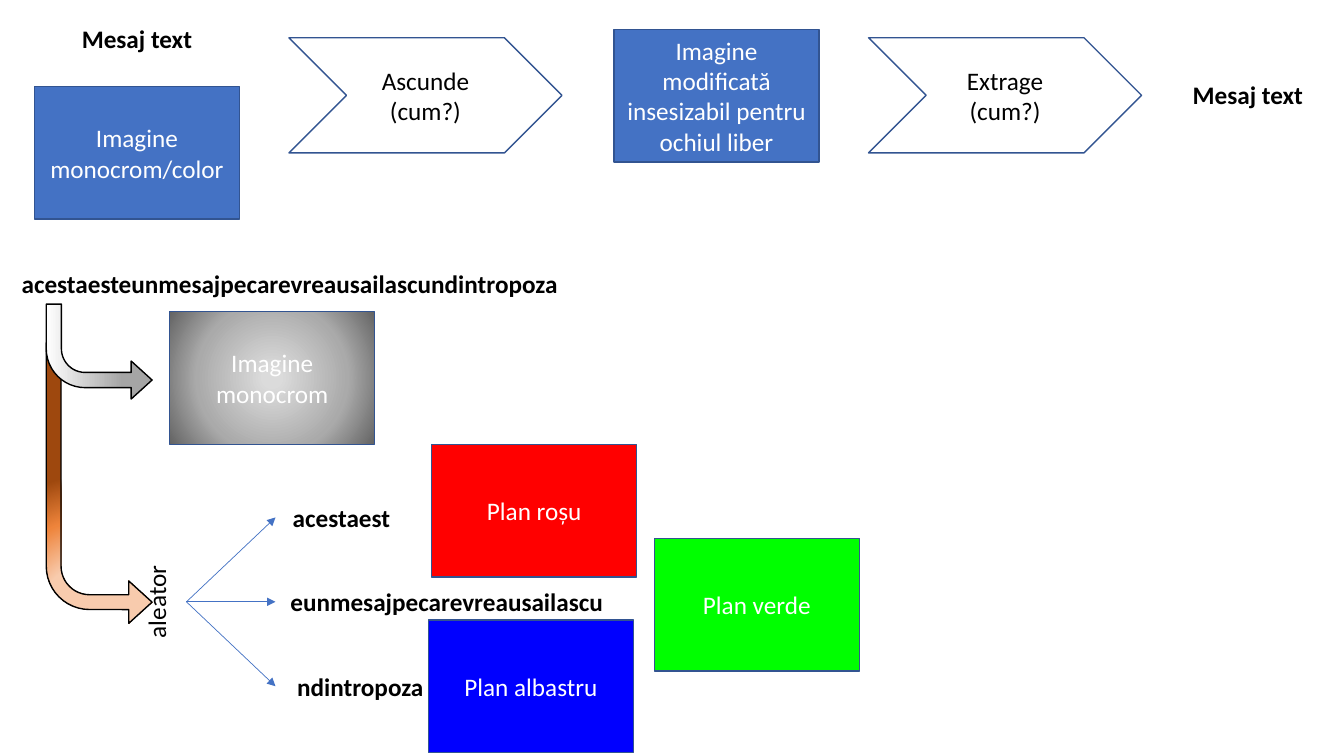
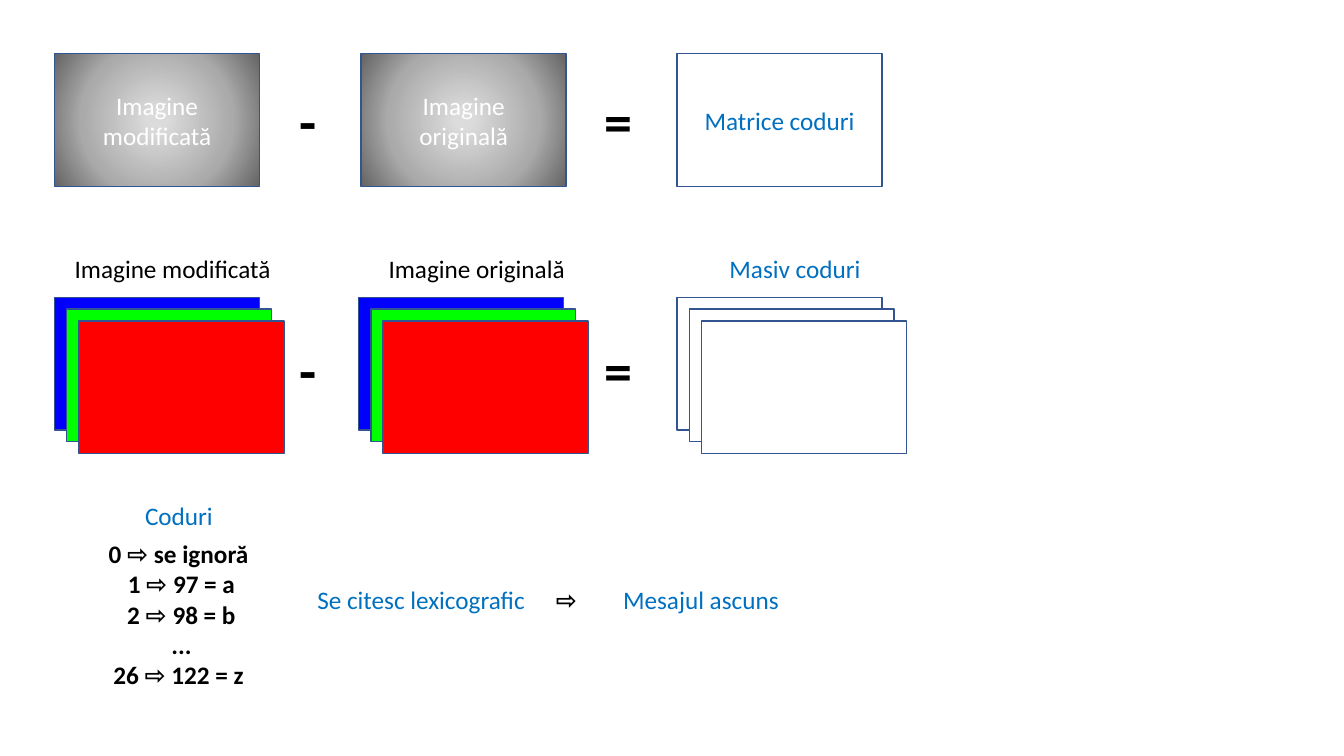
from lxml import etree
from pptx import Presentation, util as u
from pptx.dml.color import RGBColor
from pptx.enum import shapes, text
from pptx.oxml import ns

FONT = "Calibri"
WHITE = RGBColor(0xFF, 0xFF, 0xFF)
BLACK = RGBColor(0x00, 0x00, 0x00)
RED = RGBColor(0xFF, 0x00, 0x00)
GREEN = RGBColor(0x00, 0xFF, 0x00)
BLUE = RGBColor(0x00, 0x00, 0xFF)
STEEL = RGBColor(0x44, 0x72, 0xC4)
EDGE = RGBColor(0x32, 0x54, 0x91)
SKY = RGBColor(0x00, 0x70, 0xC0)
SILVER = RGBColor(0xDB, 0xDB, 0xDB)
ASH = RGBColor(0xAA, 0xAA, 0xAA)
SMOKE = RGBColor(0x63, 0x63, 0x63)
GREY = RGBColor(0xA5, 0xA5, 0xA5)
PEACH = RGBColor(0xF8, 0xCB, 0xAD)
AMBER = RGBColor(0xEE, 0x84, 0x3B)
BROWN = RGBColor(0x9E, 0x48, 0x0E)

PHOTO = ([(7, SILVER), (62, ASH), (100, SMOKE)], (50, 50, 50, 50))
RUST = ([(42, PEACH), (71, AMBER), (100, BROWN)], (50, 130, 50, -30))
FADE = ([(0, WHITE), (72, GREY)], None)

COLS, ROWS = 160, 90
WIDE, HIGH = 24.4, 15.8
LINE = 4.8
KIND = shapes.MSO_SHAPE
LEFT, MID = text.PP_ALIGN.LEFT, text.PP_ALIGN.CENTER


class Deck:
    """Draws styled elements on the current slide, on a grid of columns and rows."""

    def __init__(self):
        self.prs = Presentation()
        self.prs.slide_width = u.Inches(13.333)
        self.prs.slide_height = u.Inches(7.5)
        self.slide = None

    def page(self):
        """Start a blank slide."""
        self.slide = self.prs.slides.add_slide(self.prs.slide_layouts[6])

    def grid(self, x, y, w, h):
        """Turn columns and rows into lengths."""
        col, row = self.prs.slide_width / COLS, self.prs.slide_height / ROWS
        return round(x * col), round(y * row), round(w * col), round(h * row)

    def put(self, frame, words, color, size=18, bold=False, align=MID):
        """Fill a frame with one paragraph a line."""
        frame.word_wrap = True
        frame.text = words
        for para in frame.paragraphs:
            para.alignment = align
            font = para.font
            font.name, font.size, font.bold = FONT, u.Pt(size), bold
            font.color.rgb = color

    def blend(self, shape, stops, focus):
        """Give a shape a gradient, round a focus or from left to right."""
        shape.fill.background()
        props = shape._element.spPr
        fill = etree.Element(ns.qn("a:gradFill"), rotWithShape="1")
        stock = etree.SubElement(fill, ns.qn("a:gsLst"))
        for pos, color in stops:
            stop = etree.SubElement(stock, ns.qn("a:gs"), pos=str(pos * 1000))
            etree.SubElement(stop, ns.qn("a:srgbClr"), val=str(color))
        if focus:
            way = etree.SubElement(fill, ns.qn("a:path"), {"path": "circle"})
            sides = {k: str(v * 1000) for k, v in zip("ltrb", focus)}
            etree.SubElement(way, ns.qn("a:fillToRect"), sides)
        else:
            etree.SubElement(fill, ns.qn("a:lin"), ang="0", scaled="0")
        props.replace(props.find(ns.qn("a:noFill")), fill)

    def shape(self, kind, area, fill=None, edge=EDGE):
        """Add a preset shape with a thin edge."""
        shape = self.slide.shapes.add_shape(kind, *self.grid(*area))
        shape.shadow.inherit = False
        shape.line.color.rgb = edge
        shape.line.width = u.Pt(1)
        if fill is None:
            shape.fill.background()
        elif isinstance(fill, RGBColor):
            shape.fill.solid()
            shape.fill.fore_color.rgb = fill
        else:
            self.blend(shape, *fill)
        return shape

    def box(self, x, y, fill, words="", color=WHITE):
        """Add a picture-sized rectangle."""
        box = self.shape(KIND.RECTANGLE, (x, y, WIDE, HIGH), fill)
        if words:
            self.put(box.text_frame, words, color)

    def step(self, x, y, words):
        """Add a chevron for one step."""
        step = self.shape(KIND.CHEVRON, (x, y, 32.5, 13.7))
        self.put(step.text_frame, words, BLACK)

    def bend(self, y, h, fill, width):
        """Add an arrow that goes down and turns right."""
        bend = self.shape(KIND.BENT_ARROW, (5.5, y, 12.6, h), fill, BLACK)
        for i, part in enumerate((width, 0.2, 0.22, 0.41)):
            bend.adjustments[i] = part
        bend.rotation = 180
        bend._element.spPr.find(ns.qn("a:xfrm")).set("flipH", "1")

    def label(self, x, y, w, words, color=BLACK, h=LINE, **style):
        """Add a text box."""
        label = self.slide.shapes.add_textbox(*self.grid(x, y, w, h))
        self.put(label.text_frame, words, color, **style)
        return label

    def link(self, start, end):
        """Draw an arrow from the right of one label to the left of another."""
        link = self.slide.shapes.add_connector(shapes.MSO_CONNECTOR.STRAIGHT, 0, 0, 0, 0)
        link.begin_connect(start, 3)
        link.end_connect(end, 1)
        link.line.color.rgb = STEEL
        link.line.width = u.Pt(0.5)
        props = link._element.spPr
        etree.SubElement(props.find(ns.qn("a:ln")), ns.qn("a:tailEnd"), type="triangle")
        etree.SubElement(props, ns.qn("a:effectLst"))

    def stack(self, x, fills):
        """Add overlapping planes, back to front."""
        for i, fill in enumerate(fills):
            self.box(x + 1.45 * i, 35.4 + 1.4 * i, fill)


def hide(deck):
    """Show how the message is hidden."""
    deck.page()
    deck.bend(40.8, 33.4, RUST, 0.14)
    deck.label(0, 31.4, 69, "acestaesteunmesajpecarevreausailascundintropoza", bold=True)
    deck.label(4.1, 2.2, WIDE, "Mesaj text", bold=True)
    deck.box(4.1, 10.3, STEEL, "Imagine\nmonocrom/color")
    deck.box(73.1, 3.5, STEEL, "Imagine modificată insesizabil pentru ochiul liber")
    deck.step(34.4, 4.5, "Ascunde\n(cum?)")
    deck.step(103.4, 4.5, "Extrage\n(cum?)")
    deck.label(140.2, 8.9, 16.7, "Mesaj text", bold=True)
    deck.bend(36.2, 11.3, FADE, 0.16)
    deck.box(20.2, 37.1, PHOTO, "Imagine\nmonocrom")

    random = deck.label(16.2, 65.9, 6, "aleator", h=11.5)
    random.text_frame._txBody.bodyPr.set("vert", "vert270")
    parts = [("acestaest", 15.7), ("eunmesajpecarevreausailascu", 40.8), ("ndintropoza", 20.2)]
    for i, (words, w) in enumerate(parts):
        part = deck.label(32.8, 59.2 + 10.05 * i, w, words, bold=True)
        deck.link(random, part)

    deck.box(51, 73.8, BLUE, "Plan albastru")
    deck.box(77.9, 64.1, GREEN, "Plan verde")
    deck.box(51.4, 52.9, RED, "Plan roșu")


def find(deck):
    """Show how the message is found again."""
    deck.page()
    deck.box(6.5, 6.4, PHOTO, "Imagine\nmodificată")
    deck.box(43, 6.4, PHOTO, "Imagine\noriginală")
    deck.box(80.6, 6.4, None, "Matrice coduri", SKY)

    planes = (BLUE, GREEN, RED)
    for x, words, color, fills in (
        (6.5, "Imagine modificată", BLACK, planes),
        (42.7, "Imagine originală", BLACK, planes),
        (80.6, "Masiv coduri", SKY, (None, WHITE, WHITE)),
    ):
        deck.stack(x, fills)
        deck.label(x, 29.6, 28.1, words, color)
    for y in (9.7, 39.4):
        for x, sign in ((34.5, "-"), (70.8, "=")):
            deck.label(x, y, 4.3, sign, h=9.2, size=40, bold=True, align=LEFT)

    codes = "0 ⇨ se ignoră \n1 ⇨ 97 = a\n2 ⇨ 98 = b\n...\n26 ⇨ 122 = z "
    deck.label(6.5, 63.5, 30.2, codes, h=23, bold=True)
    deck.label(12.1, 59, 18.4, "Coduri", SKY)
    deck.label(36.6, 69, 30.2, "Se citesc lexicografic", SKY, align=LEFT)
    deck.label(65, 69, 5.8, "⇨", bold=True, align=LEFT)
    deck.label(73, 69, 22.3, "Mesajul ascuns", SKY, align=LEFT)


def main():
    """Build and save the slides."""
    deck = Deck()
    hide(deck)
    find(deck)
    deck.prs.save("out.pptx")


if __name__ == "__main__":
    main()
